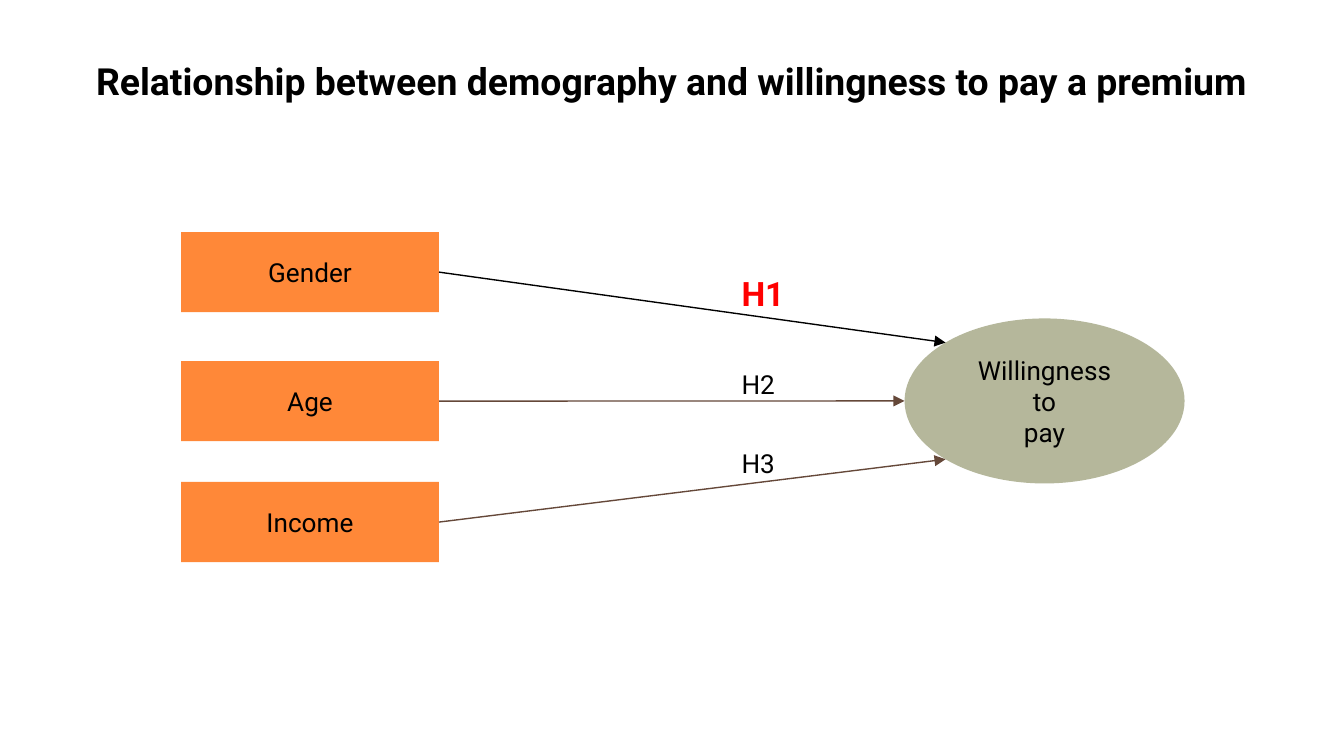
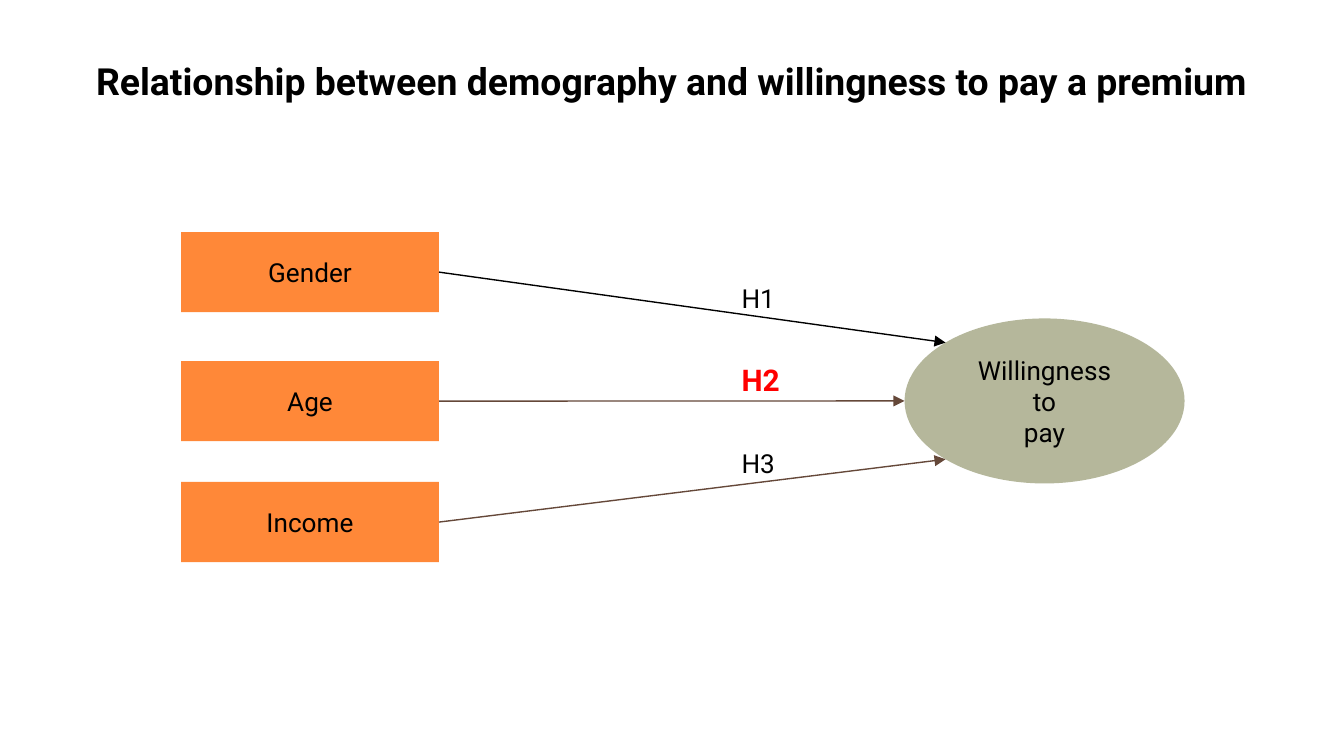
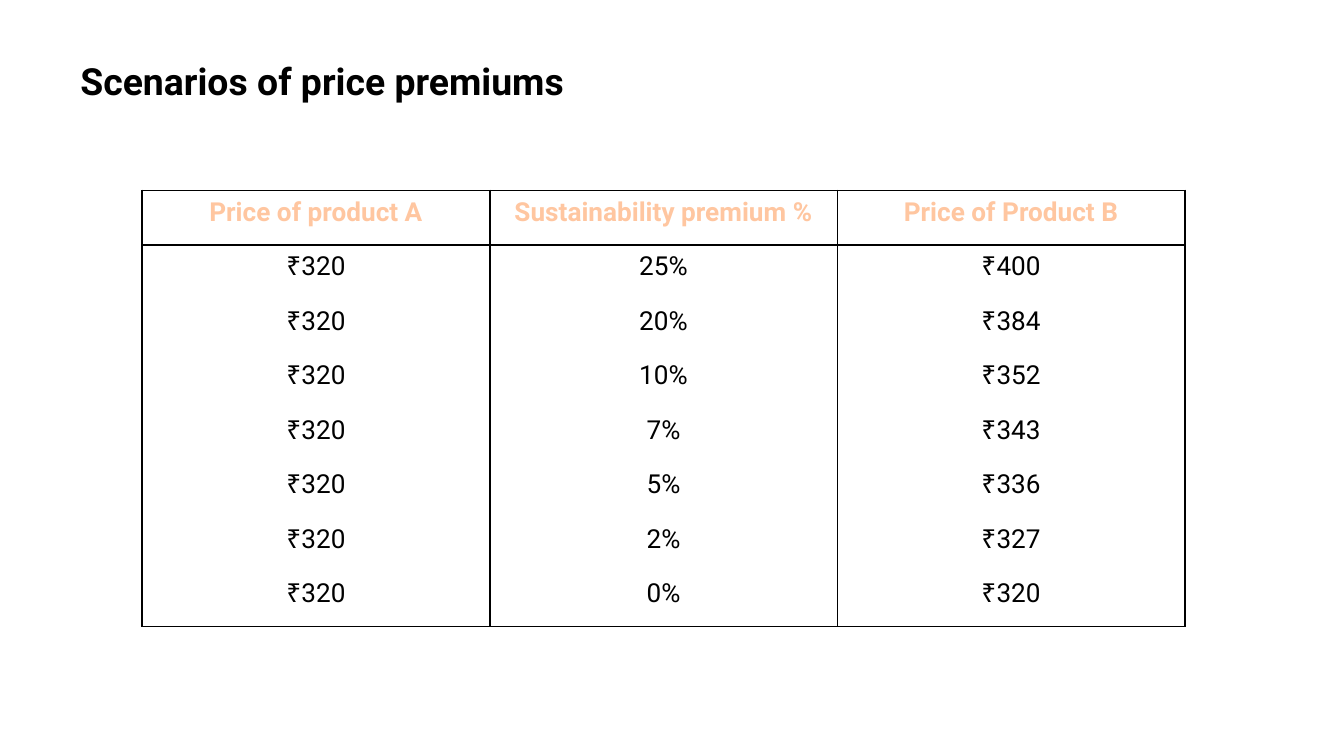
from math import sqrt

from lxml import etree
from pptx import Presentation
from pptx.dml.color import RGBColor
from pptx.enum import shapes, text
from pptx.oxml.ns import qn
from pptx.util import Pt

BLACK, RED, BROWN = "000000", "FF0000", "654839"
ORANGE, PEACH, SAGE = "FF8838", "FFC6A0", "B5B79B"
CENTER, LEFT = text.PP_ALIGN.CENTER, text.PP_ALIGN.LEFT
MIDDLE = text.MSO_ANCHOR.MIDDLE


def color(value):
    return RGBColor.from_string(value)


def write(frame, words, size=14, ink=BLACK, bold=False, align=CENTER):
    frame.text = words
    for para in frame.paragraphs:
        para.alignment = align
        if para.text.startswith("₹"):
            amount = para.text[1:]
            para.text = "₹"
            para.add_run().text = amount
        for span in para.runs:
            span.font.name = "Arial" if span.text == "₹" else "Roboto"
            span.font.size = Pt(size)
            span.font.bold = bold
            span.font.color.rgb = color(ink)


deck = Presentation()
deck.slide_width, deck.slide_height = Pt(720), Pt(405)

# Slides with their titles
premium_title = "Relationship between demography and willingness to pay a premium"
pages = []
for title, align in [(premium_title, CENTER), (premium_title, CENTER),
                     ("Scenarios of price premiums", LEFT)]:
    page = deck.slides.add_slide(deck.slide_layouts[6])
    box = page.shapes.add_textbox(Pt(36), Pt(20.4), Pt(648), Pt(45))
    frame = box.text_frame
    frame.word_wrap = True
    frame.vertical_anchor = MIDDLE
    frame.margin_top = frame.margin_bottom = Pt(7.2)
    write(frame, title, 20, bold=True, align=align)
    pages.append(page)

# Hypothesis diagrams: label, top, height, size, ink, bold
hypotheses = [
    [("H1", 142.6, 29, 18, RED, True),
     ("H2", 193.7, 24.2, 14, BLACK, False),
     ("H3", 236.3, 24.2, 14, BLACK, False)],
    [("H1", 147.6, 24.2, 14, BLACK, False),
     ("H2", 190.2, 26.6, 16, RED, True),
     ("H3", 236.3, 24.2, 14, BLACK, False)],
]
oval_left, oval_top, oval_width, oval_height = 484.6, 170.6, 150, 88.4
oval_x, oval_y = oval_left + oval_width / 2, oval_top + oval_height / 2
diagonal_x = oval_x - oval_width / 2 / sqrt(2)
diagonal_y = oval_height / 2 / sqrt(2)
factors = [
    ("Gender", 124.3, BLACK, diagonal_x, oval_y - diagonal_y),
    ("Age", 193.4, BROWN, oval_left, oval_y),
    ("Income", 258.2, BROWN, diagonal_x, oval_y + diagonal_y),
]

for page, labels in zip(pages, hypotheses):
    # Factors and outcome
    blocks = [("Willingness\nto\npay", shapes.MSO_SHAPE.FLOWCHART_CONNECTOR, SAGE,
               oval_left, oval_top, oval_width, oval_height)]
    for name, top, *_ in factors:
        blocks.append((name, shapes.MSO_SHAPE.RECTANGLE, ORANGE, 97, top, 138.2, 43))
    drawn = {}
    for name, kind, fill, *place in blocks:
        shape = page.shapes.add_shape(kind, *map(Pt, place))
        shape.shadow.inherit = False
        shape.fill.solid()
        shape.fill.fore_color.rgb = color(fill)
        shape.line.fill.background()
        shape.text_frame.vertical_anchor = MIDDLE
        write(shape.text_frame, name)
        drawn[name] = shape

    # Arrows from each factor to the outcome
    for name, top, ink, end_x, end_y in factors:
        arrow = page.shapes.add_connector(
            shapes.MSO_CONNECTOR.STRAIGHT, Pt(235.2), Pt(top + 21.5), Pt(end_x), Pt(end_y))
        arrow.begin_connect(drawn[name], 3)
        arrow.line.color.rgb = color(ink)
        arrow.line.width = Pt(0.75)
        etree.SubElement(arrow.line._get_or_add_ln(), qn("a:tailEnd"), type="triangle")
        etree.SubElement(arrow._element.spPr, qn("a:effectLst"))

    # Hypothesis labels
    for label, top, height, size, ink, bold in labels:
        box = page.shapes.add_textbox(Pt(390.2), Pt(top), Pt(60.5), Pt(height))
        box.text_frame.word_wrap = True
        box.text_frame.auto_size = text.MSO_AUTO_SIZE.SHAPE_TO_FIT_TEXT
        write(box.text_frame, label, size, ink, bold, LEFT)

# Price table
rows = [("Price of product A", "Sustainability premium %", "Price of Product B")]
for premium, price in [(25, 400), (20, 384), (10, 352), (7, 343), (5, 336), (2, 327), (0, 320)]:
    rows.append(("₹320", f"{premium}%", f"₹{price}"))
table = pages[2].shapes.add_table(
    len(rows), 3, Pt(76.2), Pt(102), Pt(558.6), Pt(233.6)).table
table.first_row = table.horz_banding = False
for column in table.columns:
    column.width = Pt(186.2)

for r, row in enumerate(rows):
    table.rows[r].height = Pt(29.2)
    # The header is boxed; body rows share one frame
    sides = ["lnL", "lnR"]
    if r < 2:
        sides.append("lnT")
    if r in (0, len(rows) - 1):
        sides.append("lnB")
    for c, words in enumerate(row):
        cell = table.cell(r, c)
        write(cell.text_frame, words, ink=BLACK if r else PEACH, bold=r == 0)
        for side in ("lnL", "lnR", "lnT", "lnB"):
            border = etree.SubElement(
                cell._tc.get_or_add_tcPr(), qn(f"a:{side}"), w=str(Pt(1)))
            if side in sides:
                paint = etree.SubElement(border, qn("a:solidFill"))
                etree.SubElement(paint, qn("a:srgbClr"), val=BLACK)
            else:
                etree.SubElement(border, qn("a:noFill"))
        cell.fill.background()

deck.save("out.pptx")
